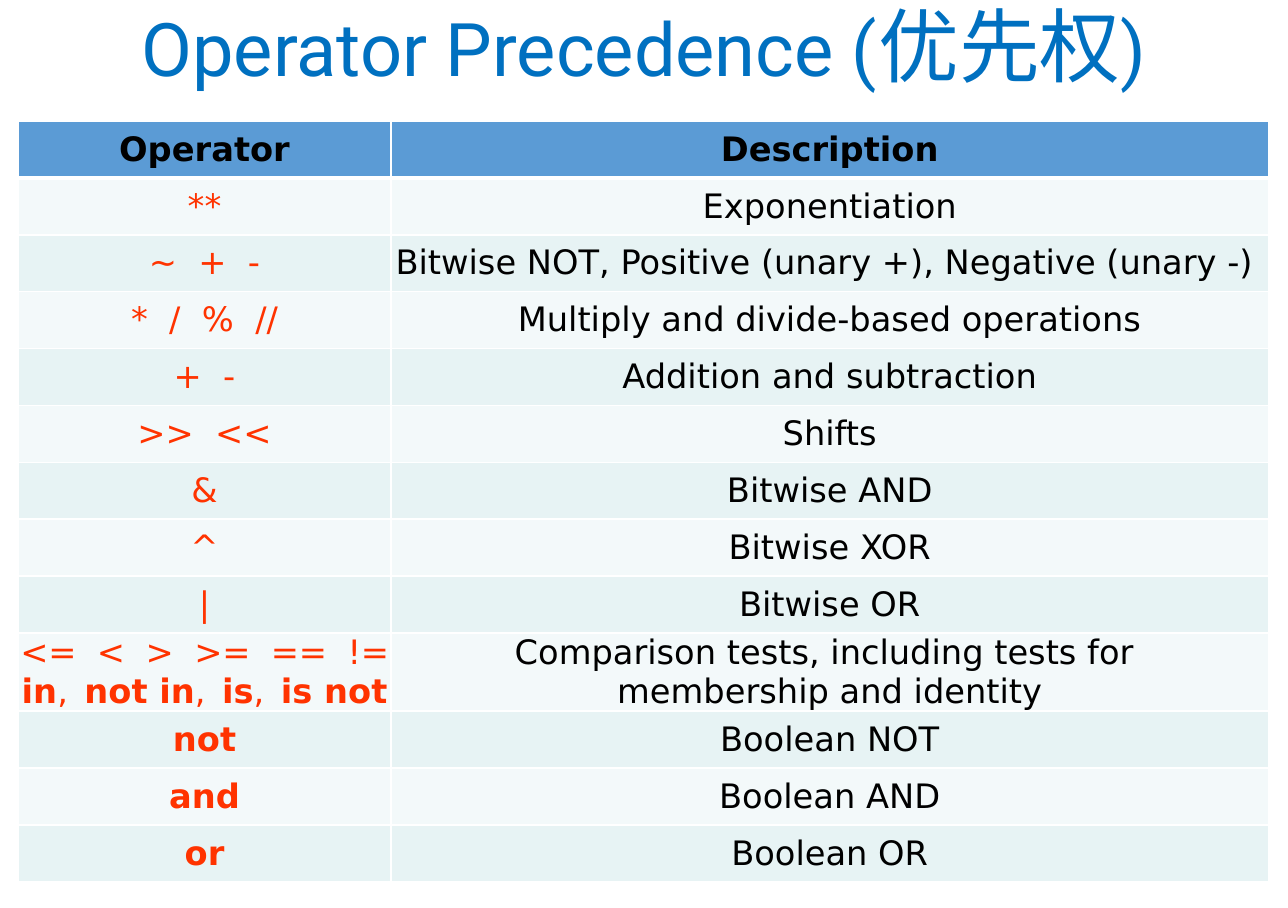
import pptx
import pptx.dml.color
import pptx.enum.text
import pptx.oxml
import pptx.oxml.ns
import pptx.util

PX = 9144  # EMU per px, 100 px to the inch

RGB = pptx.dml.color.RGBColor
TITLE_BLUE = RGB(0x00, 0x70, 0xC0)
HEADER_BLUE = RGB(0x5B, 0x9B, 0xD5)
BAND_COLORS = (RGB(0xE7, 0xF3, 0xF4), RGB(0xF3, 0xF9, 0xFA))
OPERATOR_RED = RGB(0xFF, 0x33, 0x00)
BLACK = RGB(0x00, 0x00, 0x00)
BORDER_WHITE = RGB(0xFF, 0xFF, 0xFF)

TITLE_FONT = "Roboto"
TABLE_FONT = "DejaVu Sans"
CENTER = pptx.enum.text.PP_ALIGN.CENTER
MIDDLE = pptx.enum.text.MSO_ANCHOR.MIDDLE

COMPARISONS = "<=  <  >  >=  ==  !="
MEMBERSHIP_AND_IDENTITY = ("in", "not in", "is", "is not")
BOOLEANS = ("not", "and", "or")
PRECEDENCE = (
    ("Operator", "Description"),
    ("**", "Exponentiation"),
    ("~  +  -", "Bitwise NOT, Positive (unary +), Negative (unary -) "),
    ("*  /  %  //", "Multiply and divide-based operations"),
    ("+  -", "Addition and subtraction"),
    (">>  <<", "Shifts"),
    ("&", "Bitwise AND"),
    ("^", "Bitwise XOR"),
    ("|", "Bitwise OR"),
    (COMPARISONS, "Comparison tests, including tests for \vmembership and identity"),
    ("not", "Boolean NOT"),
    ("and", "Boolean AND"),
    ("or", "Boolean OR"),
)
COLUMN_WIDTHS = (308, 725)
ROW_HEIGHT = 47
COMPARISON_ROW_HEIGHT = 54


def style_run(run, font_name, size, color, bold=False):
    run.font.name = font_name
    run.font.size = pptx.util.Pt(size)
    run.font.color.rgb = color
    run.font.bold = bold


def add_title(slide, left, top, width, height):
    title = slide.shapes.add_textbox(left * PX, top * PX, width * PX, height * PX)
    frame = title.text_frame
    frame.word_wrap = True
    frame.vertical_anchor = MIDDLE
    line = frame.paragraphs[0]
    line.alignment = CENTER
    line.line_spacing = 0.9
    for words, size in (("Operator Precedence (", 44), ("优先权", 48), (")", 44)):
        run = line.add_run()
        run.text = words
        style_run(run, TITLE_FONT, size, TITLE_BLUE)


def set_borders(cell, top=1, bottom=1):
    """Draw white cell borders; top and bottom are widths in points."""
    properties = cell._tc.get_or_add_tcPr()
    for index, (side, points) in enumerate(zip("LRTB", (1, 1, top, bottom))):
        border = pptx.oxml.parse_xml(
            f'<a:ln{side} {pptx.oxml.ns.nsdecls("a")} w="{pptx.util.Pt(points)}">'
            f'<a:solidFill><a:srgbClr val="{BORDER_WHITE}"/></a:solidFill></a:ln{side}>')
        properties.insert(index, border)


def add_keyword_line(paragraph):
    """Tighten the comparison symbols and list the keyword tests below them."""
    paragraph.runs[0]._r.get_or_add_rPr().set("spc", "-20")
    paragraph.add_line_break()
    pieces = []
    for keyword in MEMBERSHIP_AND_IDENTITY:
        if pieces:
            pieces += [(",", 20, False), ("  ", 14, True)]
        pieces.append((keyword, 20, True))
    for words, size, bold in pieces:
        run = paragraph.add_run()
        run.text = words
        style_run(run, TABLE_FONT, size, OPERATOR_RED, bold)


def fill_cell(cell, words, row, color):
    is_header = row == 0
    cell.vertical_anchor = MIDDLE
    cell.margin_left = cell.margin_right = cell.margin_top = PX if is_header else 0
    cell.margin_bottom = 0
    cell.fill.solid()
    cell.fill.fore_color.rgb = HEADER_BLUE if is_header else BAND_COLORS[row % 2]
    set_borders(cell, top=3 if row == 1 else 1, bottom=3 if is_header else 1)
    cell.text_frame.text = words
    paragraph = cell.text_frame.paragraphs[0]
    paragraph.alignment = CENTER
    for run in paragraph.runs:
        style_run(run, TABLE_FONT, 20, color, is_header or words in BOOLEANS)
    if words == COMPARISONS:
        add_keyword_line(paragraph)


def add_precedence_table(slide, left, top):
    heights = [COMPARISON_ROW_HEIGHT if operator == COMPARISONS else ROW_HEIGHT
               for operator, _ in PRECEDENCE]
    table = slide.shapes.add_table(
        len(PRECEDENCE), len(COLUMN_WIDTHS), left * PX, top * PX,
        sum(COLUMN_WIDTHS) * PX, sum(heights) * PX).table
    for column, width in zip(table.columns, COLUMN_WIDTHS):
        column.width = width * PX
    for row, (operator, description) in enumerate(PRECEDENCE):
        table.rows[row].height = heights[row] * PX
        fill_cell(table.cell(row, 0), operator, row, OPERATOR_RED if row else BLACK)
        fill_cell(table.cell(row, 1), description, row, BLACK)


def main():
    presentation = pptx.Presentation()
    presentation.slide_width = 1064 * PX
    presentation.slide_height = 750 * PX
    slide = presentation.slides.add_slide(presentation.slide_layouts[6])
    add_precedence_table(slide, 15, 100)
    add_title(slide, 32, 0, 1000, 83)
    presentation.save("out.pptx")


if __name__ == "__main__":
    main()
